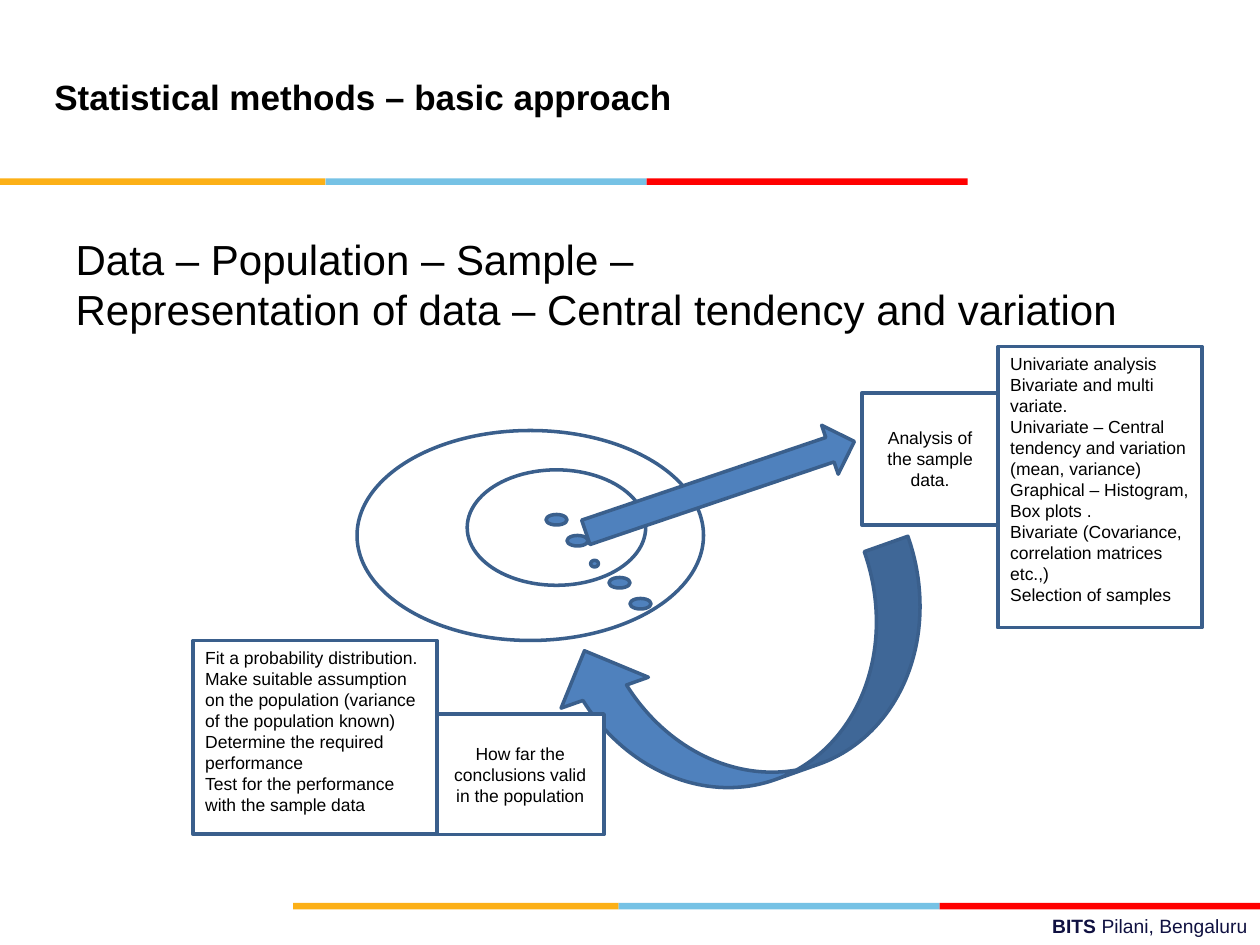
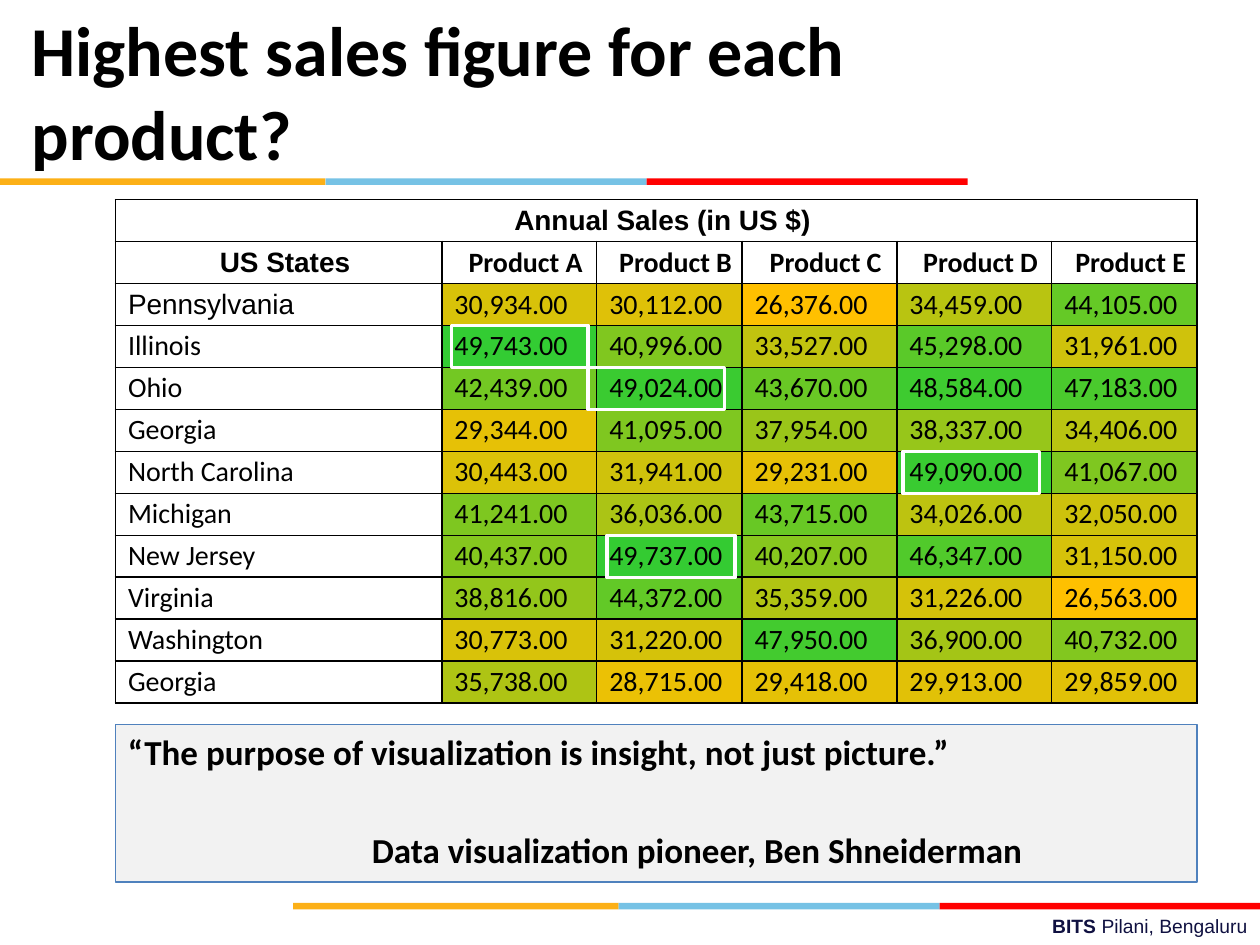
from itertools import accumulate
from math import ceil

from lxml.etree import SubElement
from pptx import Presentation
from pptx.dml.color import RGBColor
from pptx.enum.shapes import MSO_SHAPE as SHAPE
from pptx.enum.text import MSO_ANCHOR as ANCHOR, MSO_AUTO_SIZE as AUTO, PP_ALIGN as ALIGN
from pptx.oxml.ns import qn
from pptx.util import Pt

COLORS = {
    "black": "000000", "white": "FFFFFF", "navy": "101141",
    "gold": "FCB017", "sky": "76C2E5", "red": "FF0000",
    "blue": "4F81BD", "edge": "3A5F8C", "panel": "F2F2F2",
    "low": "FFC000", "high": "33CC33",
}
BAND = {"gold": 186, "sky": 183.5, "red": 183.5}
TITLE_SLIDE, TITLE_ONLY = 0, 5

STATES = [
    ("Pennsylvania", 30934, 30112, 26376, 34459, 44105),
    ("Illinois", 49743, 40996, 33527, 45298, 31961),
    ("Ohio", 42439, 49024, 43670, 48584, 47183),
    ("Georgia", 29344, 41095, 37954, 38337, 34406),
    ("North Carolina", 30443, 31941, 29231, 49090, 41067),
    ("Michigan", 41241, 36036, 43715, 34026, 32050),
    ("New Jersey", 40437, 49737, 40207, 46347, 31150),
    ("Virginia", 38816, 44372, 35359, 31226, 26563),
    ("Washington", 30773, 31220, 47950, 36900, 40732),
    ("Georgia", 35738, 28715, 29418, 29913, 29859),
]


def rgb(name):
    return RGBColor.from_string(COLORS.get(name, name))


def heat(value, low, high):
    share = (value - low) / (high - low)
    start, end = rgb("low"), rgb("high")
    red, green, blue = (a + (b - a) * share for a, b in zip(start, end))
    return f"{ceil(red):02X}{int(green):02X}{int(blue):02X}"


class Deck:
    def __init__(self):
        self.prs = Presentation()
        self.prs.slide_width, self.prs.slide_height = Pt(720), Pt(540)
        self.slide = None

    def new_slide(self, layout):
        self.slide = self.prs.slides.add_slide(self.prs.slide_layouts[layout])
        self.band(0, 102)
        self.band(167.5, 516)
        box = self.slide.shapes.add_textbox(Pt(258), Pt(519), Pt(462), Pt(21))
        box.text_frame.word_wrap = True
        p = box.text_frame.paragraphs[0]
        p.alignment = ALIGN.RIGHT
        self.add_text(p, "BITS ", 11, bold=True, color="navy")
        self.add_text(p, "Pilani, Bengaluru", 11, color="navy")

    def band(self, left, top):
        edges = accumulate(BAND.values(), initial=left)
        for (color, width), x in zip(BAND.items(), edges):
            self.shape(SHAPE.RECTANGLE, (x, top, width, 3.75), color, None)

    def add_text(self, p, text, size, font="Arial", bold=False, color="black"):
        r = p.add_run()
        r.text = text
        r.font.size, r.font.name, r.font.bold = Pt(size), font, bold
        r.font.color.rgb = rgb(color)

    def add_lines(self, tf, lines, size, font="Arial", bold=False, align=ALIGN.LEFT):
        for i, line in enumerate(lines):
            p = tf.add_paragraph() if i else tf.paragraphs[0]
            p.alignment, p.space_before = align, Pt(0)
            self.add_text(p, line, size, font, bold)

    def placeholder(self, sp, box, lines, size, font="Arial", bold=False,
                    anchor=ANCHOR.TOP, inset=0):
        sp.left, sp.top, sp.width, sp.height = map(Pt, box)
        tf = sp.text_frame
        tf.auto_size, tf.word_wrap, tf.vertical_anchor = AUTO.NONE, True, anchor
        tf.margin_left = tf.margin_right = tf.margin_top = tf.margin_bottom = Pt(inset)
        self.add_lines(tf, lines, size, font, bold)

    def title(self, text, box, size, font):
        self.placeholder(self.slide.shapes.title, box, [text], size, font, True, ANCHOR.MIDDLE)

    def shape(self, kind, box, fill="white", line="edge", weight=2, turn=0):
        sp = self.slide.shapes.add_shape(kind, *map(Pt, box))
        sp.shadow.inherit = False
        sp.rotation = turn
        if fill:
            sp.fill.solid()
            sp.fill.fore_color.rgb = rgb(fill)
        else:
            sp.fill.background()
        if line:
            sp.line.color.rgb = rgb(line)
            sp.line.width = Pt(weight)
        else:
            sp.line.fill.background()
        return sp

    def note(self, box, lines, centred=False):
        tf = self.shape(SHAPE.RECTANGLE, box).text_frame
        tf.word_wrap = True
        tf.vertical_anchor = ANCHOR.MIDDLE if centred else ANCHOR.TOP
        self.add_lines(tf, lines, 10, align=ALIGN.CENTER if centred else ALIGN.LEFT)

    def table(self, left, top, widths, row_height, rows):
        frame = self.slide.shapes.add_table(
            rows, len(widths), Pt(left), Pt(top), Pt(sum(widths)), Pt(row_height * rows))
        table = frame.table
        table.first_row = table.horz_banding = False
        for col, width in zip(table.columns, widths):
            col.width = Pt(width)
        for row in table.rows:
            row.height = Pt(row_height)
        return table

    def cell(self, cell, text, font="Calibri", bold=False, fill=None, align=ALIGN.LEFT):
        cell.vertical_anchor = ANCHOR.MIDDLE
        cell.margin_left, cell.margin_right = Pt(7.2), Pt(0)
        cell.margin_top = cell.margin_bottom = Pt(1.44)
        tcPr = cell._tc.get_or_add_tcPr()
        for side in ("lnL", "lnR", "lnT", "lnB"):
            ln = SubElement(tcPr, qn(f"a:{side}"), w=str(Pt(1)))
            SubElement(SubElement(ln, qn("a:solidFill")), qn("a:srgbClr"), val=COLORS["black"])
        if fill:
            cell.fill.solid()
            cell.fill.fore_color.rgb = rgb(fill)
        else:
            cell.fill.background()
        if text:
            self.add_lines(cell.text_frame, [text], 16, font, bold, align)


def approach_slide(deck):
    deck.new_slide(TITLE_SLIDE)
    deck.title("Statistical methods – basic approach", (31, 21.6, 482, 67), 20, "Arial")
    deck.placeholder(deck.slide.placeholders[1], (36, 126, 648, 356.4),
                     ["Data – Population – Sample –",
                      "Representation of data – Central tendency and variation"],
                     24, inset=7.2)
    population, sample = (204, 246, 198, 120), (267, 268.5, 102, 66)
    for box in (population, sample):
        deck.shape(SHAPE.OVAL, box)
    for x, y in ((312, 294), (324, 306), (348, 330), (360, 342)):
        deck.shape(SHAPE.OVAL, (x, y, 12, 6), "blue")
    deck.shape(SHAPE.OVAL, (337.5, 320.2, 4.5, 3.8), "blue")
    deck.shape(SHAPE.RIGHT_ARROW, (330.5, 263.5, 162, 29.5), "blue", turn=341.3)
    deck.note((492.5, 224.5, 78, 75.5), ["Analysis of the sample data."], True)
    deck.shape(SHAPE.CURVED_LEFT_ARROW, (378.7, 282.2, 105.8, 222.5), "blue", turn=70.5)
    deck.note((249.2, 408, 96, 69), ["How far the conclusions valid in the population"], True)
    deck.note((110.2, 366, 139.7, 110.7), [
        "Fit a probability distribution.",
        "Make suitable assumption on the population (variance of the population known)",
        "Determine the required performance",
        "Test for the performance with the sample data",
    ])
    deck.note((570.2, 198, 116.6, 160.7), [
        "Univariate analysis",
        "Bivariate and multi variate.",
        "Univariate – Central tendency and variation (mean, variance)",
        "Graphical – Histogram, Box plots .",
        "Bivariate (Covariance, correlation matrices etc.,)",
        "Selection of samples",
    ])


def sales_slide(deck):
    deck.new_slide(TITLE_ONLY)
    deck.title("Highest sales figure for each product?", (18, 18, 516, 67), 40, "Calibri")
    left, top, row_height = 66, 114, 24
    widths = [186.5, 88.5, 83, 88.5, 88.5, 83]
    table = deck.table(left, top, widths, row_height, len(STATES) + 2)

    table.cell(0, 0).merge(table.cell(0, len(widths) - 1))
    for c in range(len(widths)):
        deck.cell(table.cell(0, c), "" if c else "Annual Sales (in US $)",
                  "Arial", True, align=ALIGN.CENTER)
    heads = ["US States"] + [f"Product {letter}" for letter in "ABCDE"]
    for c, head in enumerate(heads):
        deck.cell(table.cell(1, c), head, "Calibri" if c else "Arial", True, align=ALIGN.CENTER)

    sales = [value for _, *values in STATES for value in values]
    low, high = min(sales), max(sales)
    for r, (state, *values) in enumerate(STATES, 2):
        deck.cell(table.cell(r, 0), state, "Arial" if r == 2 else "Calibri")
        for c, value in enumerate(values, 1):
            deck.cell(table.cell(r, c), f"{value:,.2f}", fill=heat(value, low, high))

    quote = deck.shape(SHAPE.RECTANGLE, (left, 414, sum(widths), 90), "panel", "blue", 0.75)
    tf = quote.text_frame
    tf.word_wrap, tf.vertical_anchor = True, ANCHOR.TOP
    deck.add_lines(tf, ["“The purpose of visualization is insight, not just picture.”",
                        "Data visualization pioneer, Ben Shneiderman"], 20, "Calibri", True)
    author = tf.paragraphs[1]
    author.space_before = Pt(31.6)
    author._p.get_or_add_pPr().set("marL", str(Pt(139.4)))

    for x, row, width in ((258, 3, 78), (336, 4, 78), (347, 8, 73), (516, 6, 78)):
        deck.shape(SHAPE.RECTANGLE, (x, top + row * row_height, width, row_height), None, "white")


def main():
    deck = Deck()
    approach_slide(deck)
    sales_slide(deck)
    deck.prs.save("out.pptx")


if __name__ == "__main__":
    main()
